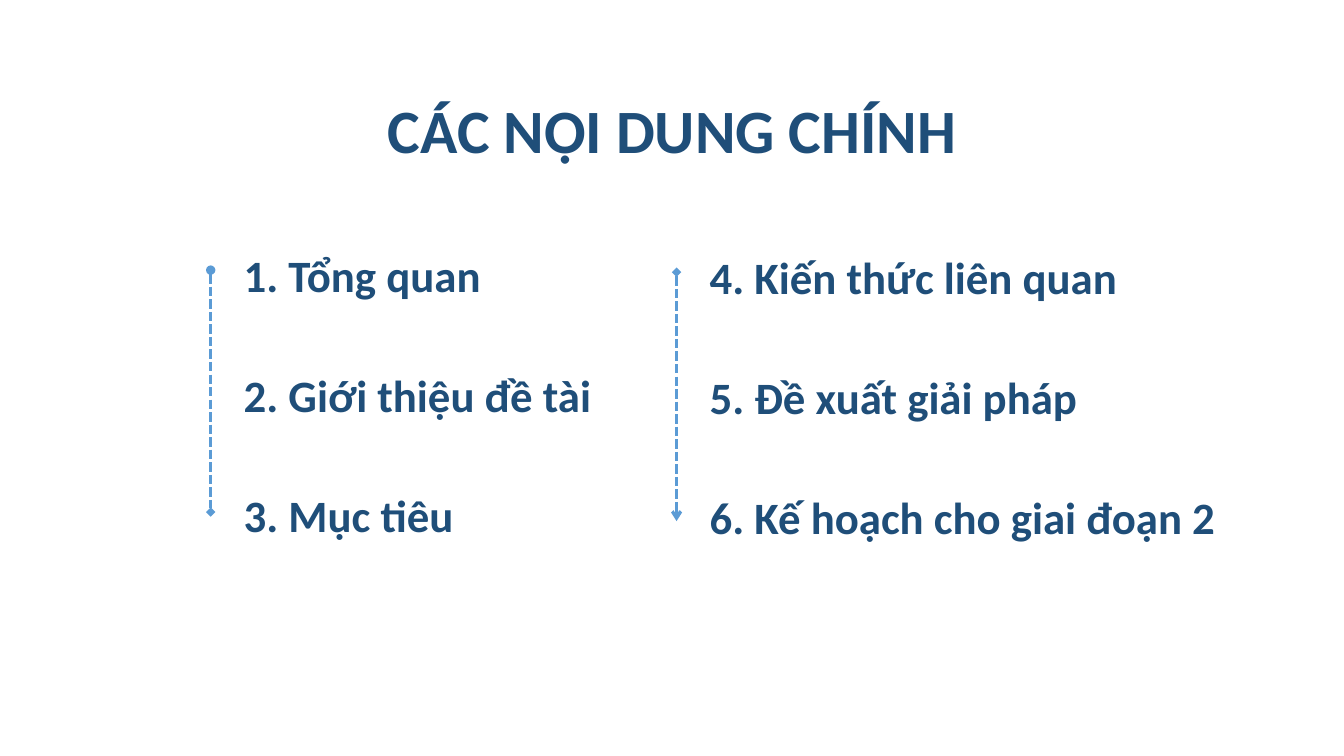
from lxml import etree
from pptx import Presentation, util as u
from pptx.dml.color import RGBColor
from pptx.enum import dml, shapes, text
from pptx.oxml.ns import qn

NAVY = RGBColor(0x1F, 0x4E, 0x79)
BLUE = RGBColor(0x5B, 0x9B, 0xD5)
FONT = "Calibri"
WIDTH, HEIGHT = u.Inches(13.33), u.Inches(7.5)
ROW_PITCH, ROW_HEIGHT = 15.87, 8.53
RULE_GAP, RULE_DROP = 1.72, 3.6

TITLE_BOX = (6.9, 8, 86.27, 19.33)
COLUMNS = [
    ((17.4, 32.13), 32, ("oval", "diamond"),
     [("1. Tổng quan", 19.28), ("2. Giới thiệu đề tài", 27.61), ("3. Mục tiêu", 17.33)]),
    ((52.06, 32.4), 32.93, ("diamond", "arrow"),
     [("4. Kiến thức liên quan", 32.11), ("5. Đề xuất giải pháp", 29.11),
      ("6. Kế hoạch cho giai đoạn 2", 39.46)]),
]


def across(percent):
    return round(WIDTH * percent / 100)


def down(percent):
    return round(HEIGHT * percent / 100)


def place(box):
    left, top, width, height = box
    return across(left), down(top), across(width), down(height)


def style(p, size):
    p.font.name = FONT
    p.font.size = u.Pt(size)
    p.font.bold = True
    p.font.color.rgb = NAVY


def add_title(s, box, wording):
    sp = s.shapes.title
    sp.left, sp.top, sp.width, sp.height = place(box)
    tf = sp.text_frame
    tf.text = wording
    tf.vertical_anchor = text.MSO_ANCHOR.MIDDLE
    p = tf.paragraphs[0]
    p.alignment = text.PP_ALIGN.CENTER
    p.line_spacing = 0.9
    style(p, 44)


def add_item(s, box, wording):
    tf = s.shapes.add_textbox(*place(box)).text_frame
    tf.text = wording
    tf.word_wrap = False
    tf.auto_size = text.MSO_AUTO_SIZE.SHAPE_TO_FIT_TEXT
    style(tf.paragraphs[0], 32)


def add_rule(s, left, top, length, ends):
    x = across(left)
    rule = s.shapes.add_connector(
        shapes.MSO_CONNECTOR.STRAIGHT, x, down(top), x, down(top + length))
    rule.line.color.rgb = BLUE
    rule.line.width = u.Pt(2.25)
    rule.line.dash_style = dml.MSO_LINE.SQUARE_DOT
    ln = rule.line._get_or_add_ln()
    ln.find(qn("a:prstDash")).set("val", "sysDash")
    for tag, end in zip(("a:headEnd", "a:tailEnd"), ends):
        etree.SubElement(ln, qn(tag), type=end)
    etree.SubElement(rule._element.spPr, qn("a:effectLst"))


def add_column(s, corner, length, ends, items):
    left, top = corner
    for row, (wording, width) in enumerate(items):
        add_item(s, (left, top + row * ROW_PITCH, width, ROW_HEIGHT), wording)
    add_rule(s, left - RULE_GAP, top + RULE_DROP, length, ends)


def main():
    prs = Presentation()
    prs.slide_width, prs.slide_height = WIDTH, HEIGHT
    s = prs.slides.add_slide(prs.slide_layouts.get_by_name("Title Only"))
    add_title(s, TITLE_BOX, "CÁC NỘI DUNG CHÍNH")
    for column in COLUMNS:
        add_column(s, *column)
    prs.save("out.pptx")


if __name__ == "__main__":
    main()
